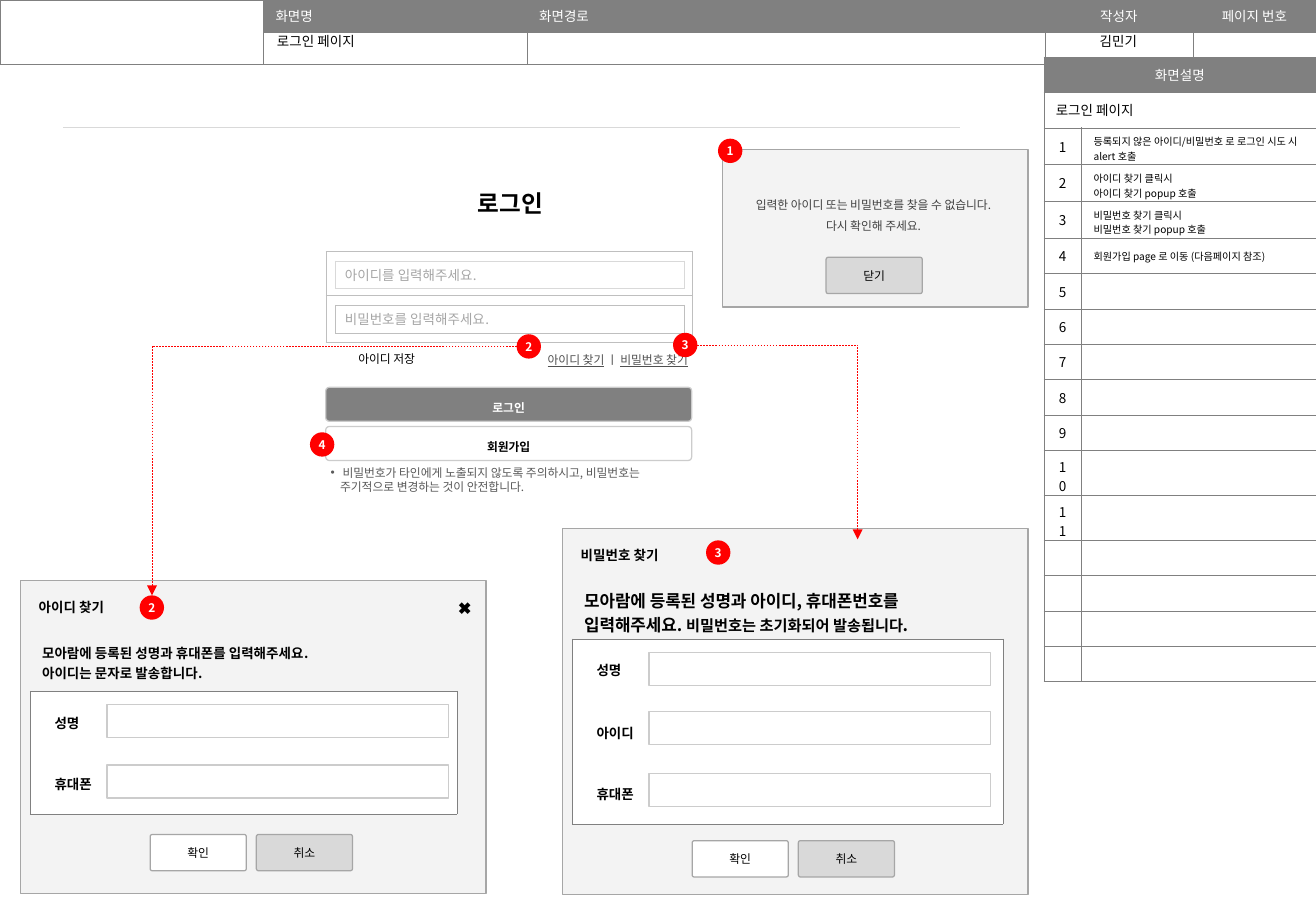
from lxml.etree import SubElement
from pptx import Presentation
from pptx.dml.color import RGBColor
from pptx.enum.dml import MSO_LINE
from pptx.enum.shapes import MSO_CONNECTOR, MSO_SHAPE
from pptx.enum.text import MSO_ANCHOR, PP_ALIGN
from pptx.oxml.ns import qn
from pptx.util import Cm, Pt

COLORS = {
    "white": "FFFFFF", "black": "000000", "gray": "808080", "panel": "F3F3F3",
    "edge": "A6A6A6", "button": "D9D9D9", "field": "CCCCCC", "frame": "BFBFBF",
    "note": "595959", "link": "505050", "alert": "404040", "red": "FF0000",
}
LEFT, CENTER, RIGHT = PP_ALIGN.LEFT, PP_ALIGN.CENTER, PP_ALIGN.RIGHT
CELL_MARGINS = (0.25, 0.13)


def rgb(name):
    return RGBColor.from_string(COLORS[name])


class Wireframe:
    font_name = "Noto Sans CJK KR"

    def __init__(self, page):
        self.page = page

    def fill_text(self, frame, lines, size=8, color="black", bold=False, align=LEFT, spacing=None):
        """Fill a text frame; a line is a string or a list of (text, font settings)."""
        for index, line in enumerate(lines):
            para = frame.paragraphs[0] if index == 0 else frame.add_paragraph()
            para.alignment = align
            para.space_before = Pt(0)
            if spacing:
                para.line_spacing = spacing
            para.font.size = Pt(size)
            para.font.bold = bold
            para.font.color.rgb = rgb(color)
            para.font.name = self.font_name
            defaults = para._p.pPr.find(qn("a:defRPr"))
            SubElement(defaults, qn("a:ea")).set("typeface", self.font_name)
            for text, settings in [(line, {})] if isinstance(line, str) else line:
                if text:
                    span = para.add_run()
                    span.text = text
                    if "size" in settings:
                        span.font.size = settings["size"]
                    if "underline" in settings:
                        span.font.underline = settings["underline"]
                else:
                    para._p.get_or_add_endParaRPr().set("sz", str(size * 100))

    def place(self, shape, left, top, width, height):
        shape.left, shape.top, shape.width, shape.height = map(Cm, (left, top, width, height))

    def set_margins(self, target, horizontal, vertical):
        target.margin_left = target.margin_right = Cm(horizontal)
        target.margin_top = target.margin_bottom = Cm(vertical)

    def placeholder(self, index, lines, bounds, **style):
        box = self.page.placeholders[index]
        self.place(box, *bounds)
        frame = box.text_frame
        frame.word_wrap = False
        frame.vertical_anchor = MSO_ANCHOR.MIDDLE
        self.set_margins(frame, 0.1, 0.1)
        self.fill_text(frame, lines, **style)
        return frame

    def label(self, text, left, top, width, height, **style):
        frame = self.page.shapes.add_textbox(*map(Cm, (left, top, width, height))).text_frame
        frame.word_wrap = True
        self.fill_text(frame, [text], **style)

    def box(self, left, top, width, height, lines=(), fill=None, edge=None, corner=0, margin=0, **style):
        box = self.page.shapes.add_shape(
            MSO_SHAPE.ROUNDED_RECTANGLE, *map(Cm, (left, top, width, height)))
        box.shadow.inherit = False
        box.adjustments[0] = corner
        if fill:
            box.fill.solid()
            box.fill.fore_color.rgb = rgb(fill)
        else:
            box.fill.background()
        if edge:
            box.line.color.rgb = rgb(edge)
            box.line.width = Pt(0.75)
        else:
            box.line.fill.background()
        if lines:
            frame = box.text_frame
            frame.word_wrap = True
            frame.vertical_anchor = MSO_ANCHOR.MIDDLE
            self.set_margins(frame, margin, margin)
            self.fill_text(frame, lines, **style)

    def button(self, text, left, top, fill="button"):
        self.box(left, top, 2.01, 0.76, [text], fill, "edge", 0.058, 0.25, size=7, align=CENTER)

    def badge(self, number, left, top):
        self.box(left, top, 0.51, 0.51, [number], "red", corner=0.5,
                 size=7, color="white", bold=True, align=CENTER)

    def table(self, left, top, columns, rows):
        shape = self.page.shapes.add_table(
            len(rows), len(columns), *map(Cm, (left, top, sum(columns), sum(rows))))
        table = shape.table
        table.first_row = table.horz_banding = False
        for column, width in zip(table.columns, columns):
            column.width = Cm(width)
        for row, height in zip(table.rows, rows):
            row.height = Cm(height)
        return table

    def cell(self, cell, lines=("",), fill=None, edge="gray", weight=0.25, sides="LRTB",
             margins=CELL_MARGINS, anchor=MSO_ANCHOR.MIDDLE, **style):
        """Format a cell; sides names the edges that get a line."""
        properties = cell._tc.get_or_add_tcPr()
        for side in "LRTB":
            line = SubElement(properties, qn(f"a:ln{side}"), w=str(Pt(weight)))
            if side in sides:
                SubElement(SubElement(line, qn("a:solidFill")), qn("a:srgbClr"), val=COLORS[edge])
            else:
                SubElement(line, qn("a:noFill"))
        if fill:
            cell.fill.solid()
            cell.fill.fore_color.rgb = rgb(fill)
        else:
            cell.fill.background()
        cell.vertical_anchor = anchor
        self.set_margins(cell, *margins)
        self.fill_text(cell.text_frame, lines, **style)

    def entry(self, prompt, top, edge, weight):
        table = self.table(7.01, top, [7.29], [0.58])
        self.cell(table.cell(0, 0), [prompt], "white", edge, weight, margins=(0.2, 0.05), color="edge")

    def connector(self, kind, start, end, color, weight):
        line = self.page.shapes.add_connector(kind, *map(Cm, (*start, *end)))
        line.line.color.rgb = rgb(color)
        line.line.width = Pt(weight)
        SubElement(line._element.spPr, qn("a:effectLst"))
        return line

    def callout(self, start, end):
        """Draw a dashed red arrow that runs sideways, then down."""
        arrow = self.connector(MSO_CONNECTOR.ELBOW, start, end, "red", 0.25)
        arrow.line.dash_style = MSO_LINE.DASH
        properties = arrow._element.spPr
        properties.find(qn("a:prstGeom")).set("prst", "bentConnector2")
        SubElement(properties.find(qn("a:ln")), qn("a:tailEnd"), type="triangle")

    def popup(self, heading, left, top, height, intro, columns, fields, button_top):
        """Draw a dialog; fields pairs each label with the top of its input box."""
        self.box(left, top, 9.73, height, fill="panel", edge="edge")
        self.box(left + 0.38, top + 0.18, 10, 0.76, [heading], bold=True)
        self.button("확인", left + 2.71, button_top, "white")
        self.button("취소", left + 4.93, button_top)
        rows = [1.19] + [1.3] * (len(fields) - 1) + [1.27]
        table = self.table(left + 0.2, top + 1.12, columns, rows)
        table.cell(0, 0).merge(table.cell(0, 1))
        self.cell(table.cell(0, 0), intro, sides="B", bold=True)
        for row, (name, field_top) in enumerate(fields, 1):
            ends = ("T" if row == 1 else "") + ("B" if row == len(fields) else "")
            self.cell(table.cell(row, 0), [name], "white", sides="L" + ends, margins=(0.51, 0.13), bold=True)
            self.cell(table.cell(row, 1), fill="white", sides="R" + ends)
            self.box(left + 1.81, field_top, 7.14, 0.69, fill="white", edge="field")


def add_header(wire):
    table = wire.table(0, 0, [5.51, 5.51, 10.82, 3.1, 2.57], [0.67] * 2)
    table.cell(0, 0).merge(table.cell(1, 0))
    wire.cell(table.cell(0, 0))
    for column, name in enumerate(["화면명", "화면경로", "작성자", "페이지 번호"], 1):
        wire.cell(table.cell(0, column), [name], "gray", anchor=MSO_ANCHOR.TOP,
                  color="white", align=LEFT if column < 3 else CENTER)
        wire.cell(table.cell(1, column))
    wire.label("김민기", 21.82, 0.56, 3.12, 0.61, align=CENTER)
    wire.label("로그인 페이지", 5.54, 0.56, 5.46, 0.61)


def add_descriptions(wire):
    notes = [
        ["등록되지 않은 아이디/비밀번호 로 로그인 시도 시 alert 호출"],
        ["아이디 찾기 클릭시", "아이디 찾기 popup 호출"],
        ["비밀번호 찾기 클릭시", "비밀번호 찾기 popup 호출"],
        ["회원가입 page 로 이동 (다음페이지 참조)"],
    ]
    table = wire.table(21.82, 1.19, [0.79, 4.9], [0.74] * 17)
    for row in range(2):
        table.cell(row, 0).merge(table.cell(row, 1))
    wire.cell(table.cell(0, 0), ["화면설명"], "gray", color="white", align=CENTER)
    wire.cell(table.cell(1, 0), ["로그인 페이지"])
    for number in range(1, 16):
        wire.cell(table.cell(number + 1, 0), [str(number) if number <= 11 else ""], align=CENTER)
        note = notes[number - 1] if number <= len(notes) else [""]
        wire.cell(table.cell(number + 1, 1), note, size=6)


def add_login_form(wire):
    wire.connector(MSO_CONNECTOR.STRAIGHT, (1.32, 2.67), (20.07, 2.67), "button", 0.75)
    wire.placeholder(0, ["로그인"], (5.05, 3.89, 11.25, 0.71), size=14, bold=True, align=CENTER)
    frame = wire.table(6.81, 5.26, [7.65], [0.91, 0.99])
    for row in range(2):
        wire.cell(frame.cell(row, 0), edge="frame")
    wire.entry("아이디를 입력해주세요.", 5.46, "button", 0.75)
    wire.entry("비밀번호를 입력해주세요.", 6.38, "frame", 0.25)
    links = [("아이디 찾기", {"underline": True}), (" ㅣ ", {}), ("비밀번호 찾기", {"underline": True})]
    wire.box(9.3, 7.16, 5.33, 0.58, [links], margin=0.25, size=7, color="link", align=RIGHT, spacing=1.5)
    wire.label("아이디 저장", 7.24, 7.24, 1.96, 0.56, size=7)
    for text, top, fill, color in [("로그인", 8.1, "gray", "white"), ("회원가입", 8.92, "white", "black")]:
        wire.box(6.81, top, 7.65, 0.71, [text], fill, "field", 0.102, 0.05,
                 size=7, color=color, bold=True, align=CENTER, spacing=1.5)
    note = wire.placeholder(
        1, ["비밀번호가 타인에게 노출되지 않도록 주의하시고, 비밀번호는", "주기적으로 변경하는 것이 안전합니다."],
        (6.81, 9.68, 7.65, 0.71), size=7, color="note")
    for para, margin, indent, bullet in zip(note.paragraphs, (0.25, 0.2), (-0.25, 0), ("•", None)):
        properties = para._p.pPr
        properties.set("marL", str(Cm(margin)))
        properties.set("indent", str(Cm(indent)))
        mark = SubElement(properties, qn("a:buChar" if bullet else "a:buNone"))
        if bullet:
            mark.set("char", bullet)
        properties.find(qn("a:defRPr")).addprevious(mark)


def add_dialogs(wire):
    wire.popup("아이디 찾기", 0.43, 12.14, 6.55,
               ["모아람에 등록된 성명과 휴대폰를 입력해주세요.", "아이디는 문자로 발송합니다."],
               [2.11, 6.81], [("성명", 14.73), ("휴대폰", 16)], 17.45)
    wire.box(9.37, 12.32, 0.69, 0.76, ["✖"], size=10, align=CENTER)
    large, medium = {"size": Pt(10)}, {"size": Pt(9)}
    intro = [("모아람에 등록된 성명과 아이디, 휴대폰번호를 입력해주세요. ", large),
             ("비밀번호는 초기화되어 발송됩니다", medium), (".", large)]
    wire.popup("비밀번호 찾기", 11.76, 11.05, 7.65, [intro],
               [2.13, 6.88], [("성명", 13.64), ("아이디", 14.88), ("휴대폰", 16.18)], 17.58)
    wire.box(15.11, 3.12, 6.38, 3.3, fill="panel", edge="edge")
    wire.button("닫기", 17.27, 5.38)
    wire.box(15.06, 3.58, 6.4, 1.7, ["입력한 아이디 또는 비밀번호를 찾을 수 없습니다.", "다시 확인해 주세요."],
             margin=0.25, size=7, color="alert", align=CENTER, spacing=1.5)


def main():
    deck = Presentation()
    deck.slide_width, deck.slide_height = Cm(27.51), Cm(19.05)
    wire = Wireframe(deck.slides.add_slide(deck.slide_layouts[1]))
    add_header(wire)
    add_descriptions(wire)
    add_login_form(wire)
    add_dialogs(wire)
    wire.callout((10.8, 7.24), (3.18, 12.45))
    wire.callout((14.58, 7.21), (17.93, 11.28))
    for number, left, top in [("1", 15.01, 2.9), ("2", 10.8, 6.99), ("3", 14.07, 6.96),
                              ("4", 6.48, 9.04), ("2", 2.92, 12.45), ("3", 14.76, 11.3)]:
        wire.badge(number, left, top)
    deck.save("out.pptx")


if __name__ == "__main__":
    main()
